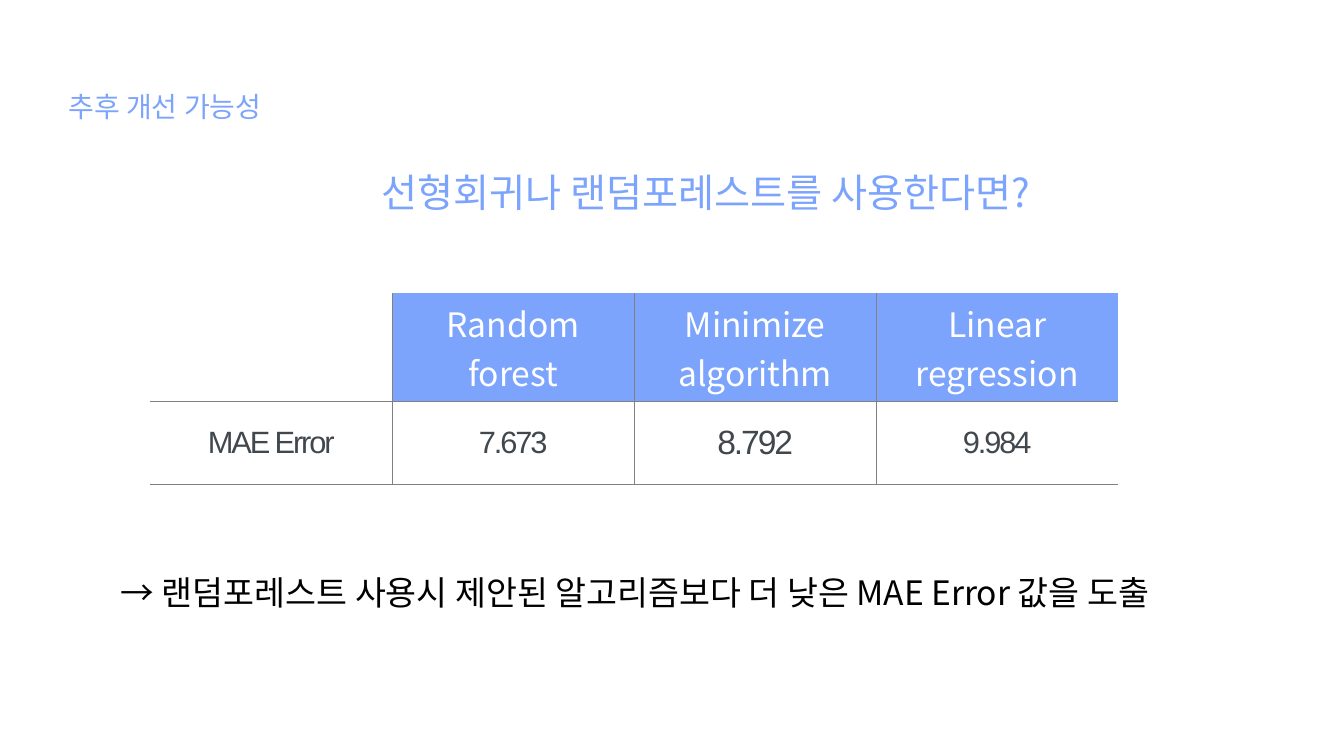
from lxml.etree import SubElement
from pptx import Presentation
from pptx.dml.color import RGBColor
from pptx.enum.text import MSO_ANCHOR, MSO_AUTO_SIZE, PP_ALIGN
from pptx.oxml import parse_xml
from pptx.oxml.ns import nsdecls, qn
from pptx.util import Inches, Pt

BLUE = RGBColor(0x7C, 0xA4, 0xFD)
WHITE = RGBColor(0xFF, 0xFF, 0xFF)
BLACK = RGBColor(0, 0, 0)
SLATE = RGBColor(0x40, 0x47, 0x4D)
GRAY = RGBColor(0x80, 0x80, 0x80)
SANS = "Noto Sans CJK KR"

TITLE = "선형회귀나 랜덤포레스트를 사용한다면?"
TOPIC = "추후 개선 가능성"
RESULT = "→ 랜덤포레스트 사용시 제안된 알고리즘보다 더 낮은 MAE Error 값을 도출"
ROWS = [
    ["", "Random forest", "Minimize algorithm", "Linear regression"],
    ["MAE Error", "7.673", "8.792", "9.984"],
]
SIZES = [[24, 24, 24, 24], [22, 22, 24, 22]]
HEIGHTS = [1.07, 0.83]
WIDTH = 2.4


def style(para, size, color, face=SANS, align=PP_ALIGN.LEFT, gap=None):
    para.alignment = align
    font = para.font
    font.size = Pt(size)
    font.color.rgb = color
    font.name = face
    props = para._p.get_or_add_pPr().get_or_add_defRPr()
    SubElement(props, qn("a:ea")).set("typeface", face)
    if gap is not None:
        props.set("spc", str(round(gap * 100)))


def write(shape, text, size, color, align=PP_ALIGN.LEFT, wrap=True):
    frame = shape.text_frame
    frame.word_wrap = wrap
    frame.auto_size = MSO_AUTO_SIZE.SHAPE_TO_FIT_TEXT
    frame.vertical_anchor = MSO_ANCHOR.TOP
    frame.text = text
    style(frame.paragraphs[0], size, color, align=align)


def edge(cell, sides):
    props = cell._tc.get_or_add_tcPr()
    for spot, side in enumerate("LRTB"):
        if side in sides:
            paint = f'<a:solidFill><a:srgbClr val="{GRAY}"/></a:solidFill>'
        else:
            paint = "<a:noFill/>"
        line = f'<a:ln{side} {nsdecls("a")} w="{Pt(0.5)}">{paint}</a:ln{side}>'
        props.insert(spot, parse_xml(line))


deck = Presentation()
deck.slide_width, deck.slide_height = Inches(13.33), Inches(7.5)
slide = deck.slides.add_slide(deck.slide_layouts[5])
shapes = slide.shapes

title = shapes.title
title.left, title.top = Inches(3.51), Inches(1.62)
title.width, title.height = Inches(6.98), Inches(0.57)
write(title, TITLE, 28, BLUE, PP_ALIGN.CENTER)

topic = shapes.add_textbox(Inches(0.58), Inches(0.84), Inches(3.24), Inches(0.44))
write(topic, TOPIC, 20, BLUE)

count = len(ROWS[0])
table = shapes.add_table(
    len(ROWS), count, Inches(1.49), Inches(2.91),
    Inches(WIDTH * count), Inches(sum(HEIGHTS)),
).table
for col in table.columns:
    col.width = Inches(WIDTH)
for r, row in enumerate(ROWS):
    table.rows[r].height = Inches(HEIGHTS[r])
    for c, text in enumerate(row):
        cell = table.cell(r, c)
        cell.vertical_anchor = MSO_ANCHOR.MIDDLE
        cell.fill.solid()
        cell.fill.fore_color.rgb = BLUE if r == 0 and c else WHITE
        edge(cell, "B" + "L" * (c > 0) + "R" * (c < count - 1) + "T" * (r > 0))
        cell.text = text
        para = cell.text_frame.paragraphs[0]
        if r == 0:
            style(para, SIZES[r][c], WHITE, align=PP_ALIGN.CENTER)
        else:
            style(para, SIZES[r][c], SLATE, "Arial", PP_ALIGN.CENTER, -1.5)

result = shapes.add_textbox(Inches(1.1), Inches(5.62), Inches(11.08), Inches(0.5))
write(result, RESULT, 24, BLACK, wrap=False)

deck.save("out.pptx")
